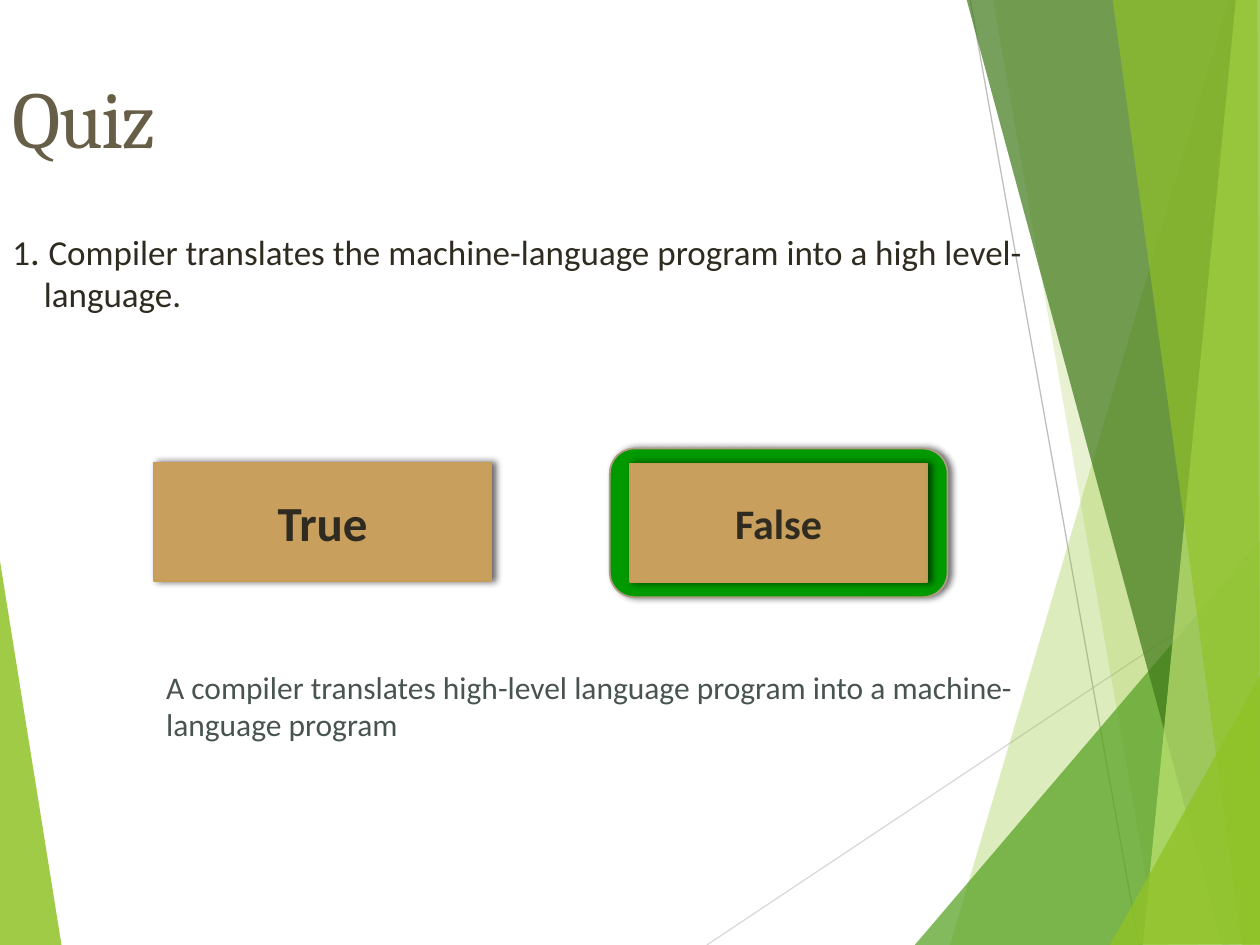
from dataclasses import dataclass

from lxml import etree
from pptx import Presentation
from pptx import util as u
from pptx.dml.color import RGBColor
from pptx.enum import shapes, text
from pptx.oxml.ns import qn

PX = 9144  # EMU per px, 100 px to the inch
INK = "2F2B20"


@dataclass
class Facet:
    color: str
    opacity: int
    points: list[tuple[int, int]]


@dataclass
class Ray:
    color: str
    start: tuple[int, int]
    end: tuple[int, int]


@dataclass
class Panel:
    kind: shapes.MSO_SHAPE
    box: tuple[int, int, int, int]
    fill: str
    line: str
    label: str = ""
    size: int = 0


RAYS = [
    Ray("D9D9D9", (561, 750), (1001, 457)),
    Ray("BFBFBF", (770, 0), (904, 750)),
]
LEFT_FACET = Facet("90C226", 85, [(-1, 439), (49, 751), (-1, 750)])
RIGHT_FACETS = [
    Facet("90C226", 30, [(975, 0), (754, 750), (1002, 751), (1001, 1)]),
    Facet("90C226", 20, [(788, -1), (919, 750), (1001, 750), (1001, -1)]),
    Facet("54A021", 72, [(726, 750), (1000, 429), (1001, 750)]),
    Facet("3F7819", 70, [(767, -1), (970, 750), (1001, 749), (1001, -1)]),
    Facet("C0E474", 70, [(981, -1), (907, 750), (1001, 750), (1000, -1)]),
    Facet("90C226", 65, [(883, -1), (986, 750), (1000, 750), (998, -1)]),
    Facet("90C226", 80, [(881, 750), (1001, 535), (1001, 749)]),
]
HIGHLIGHT = Panel(shapes.MSO_SHAPE.ROUNDED_RECTANGLE, (484, 356, 268, 118), "009900", "AE9C84")
ANSWERS = [
    Panel(shapes.MSO_SHAPE.RECTANGLE, (122, 367, 268, 94), "C89F5D", "C69C57", "True", 28),
    Panel(shapes.MSO_SHAPE.RECTANGLE, (500, 368, 236, 94), "C89F5D", "C69C57", "False", 24),
]


def rgb(value: str) -> RGBColor:
    return RGBColor.from_string(value)


def emu(*lengths: int) -> list[int]:
    return [length * PX for length in lengths]


def style(span, size: int, color: str, name: str = "Calibri", bold: bool = False) -> None:
    span.font.size = u.Pt(size)
    span.font.name = name
    span.font.bold = bold
    span.font.color.rgb = rgb(color)


def add_alpha(color_element, opacity: int) -> None:
    etree.SubElement(color_element, qn("a:alpha"), val=str(opacity * 1000))


def add_facet(page, facet: Facet) -> None:
    builder = page.shapes.build_freeform(*facet.points[0], scale=PX)
    builder.add_line_segments(facet.points[1:], close=True)
    shape = builder.convert_to_shape()
    shape.shadow.inherit = False
    shape.line.fill.background()
    shape.fill.solid()
    shape.fill.fore_color.rgb = rgb(facet.color)
    add_alpha(shape.element.spPr.find(".//" + qn("a:srgbClr")), facet.opacity)


def add_ray(page, ray: Ray) -> None:
    line = page.shapes.add_connector(
        shapes.MSO_CONNECTOR.STRAIGHT, *emu(*ray.start, *ray.end))
    line.line.color.rgb = rgb(ray.color)
    line.line.width = u.Pt(0.75)
    etree.SubElement(line.element.spPr, qn("a:effectLst"))


def add_panel(page, panel: Panel) -> None:
    shape = page.shapes.add_shape(panel.kind, *emu(*panel.box))
    shape.fill.solid()
    shape.fill.fore_color.rgb = rgb(panel.fill)
    shape.line.color.rgb = rgb(panel.line)
    shape.line.width = u.Pt(1)
    # Soft shadow cast to the right
    shape.shadow.inherit = False
    effects = shape.element.spPr.find(qn("a:effectLst"))
    shadow = etree.SubElement(effects, qn("a:outerShdw"), blurRad=str(u.Pt(4)),
                              dist=str(u.Pt(2)), dir="0", rotWithShape="0")
    add_alpha(etree.SubElement(shadow, qn("a:srgbClr"), val="000000"), 60)
    if panel.label:
        frame = shape.text_frame
        frame.text = panel.label
        frame.vertical_anchor = text.MSO_ANCHOR.MIDDLE
        para = frame.paragraphs[0]
        para.alignment = text.PP_ALIGN.CENTER
        style(para.runs[0], panel.size, INK, bold=True)


def add_text(page, box: tuple[int, int, int, int], spans: list[tuple[str, int]], color: str):
    frame = page.shapes.add_textbox(*emu(*box)).text_frame
    frame.word_wrap = True
    para = frame.paragraphs[0]
    for words, size in spans:
        span = para.add_run()
        span.text = words
        style(span, size, color)
    return para


def place_title(page, words: str) -> None:
    title = page.shapes.title
    title.left, title.top, title.width, title.height = emu(0, 30, 833, 125)
    frame = title.text_frame
    frame.text = words
    frame.auto_size = text.MSO_AUTO_SIZE.NONE
    frame.vertical_anchor = text.MSO_ANCHOR.MIDDLE
    para = frame.paragraphs[0]
    para.alignment = text.PP_ALIGN.LEFT
    style(para.runs[0], 46, "675E47", "Cambria")
    para.runs[0].font._element.set("spc", "-100")
    page.shapes.element.append(title.element)  # in front of the backdrop


def main() -> None:
    deck = Presentation()
    deck.slide_width, deck.slide_height = emu(1000, 750)
    page = deck.slides.add_slide(deck.slide_layouts[5])

    # Faceted backdrop
    add_facet(page, LEFT_FACET)
    for ray in RAYS:
        add_ray(page, ray)
    for facet in RIGHT_FACETS:
        add_facet(page, facet)

    # Title and question
    add_panel(page, HIGHLIGHT)
    place_title(page, "Quiz")
    question = add_text(page, (0, 175, 833, 525), [
        ("1", 20), (". ", 22),
        ("Compiler translates the machine-language program into a high level-language.", 20),
    ], INK)
    question.space_before = u.Pt(4.4)
    properties = question._p.get_or_add_pPr()
    properties.set("marL", str(25 * PX))
    properties.set("indent", str(-25 * PX))

    # Answers and explanation
    for answer in ANSWERS:
        add_panel(page, answer)
    add_text(page, (122, 525, 693, 70), [
        ("A compiler translates high-level language program into a machine-language program", 18),
    ], "48544F")

    deck.save("out.pptx")


if __name__ == "__main__":
    main()
